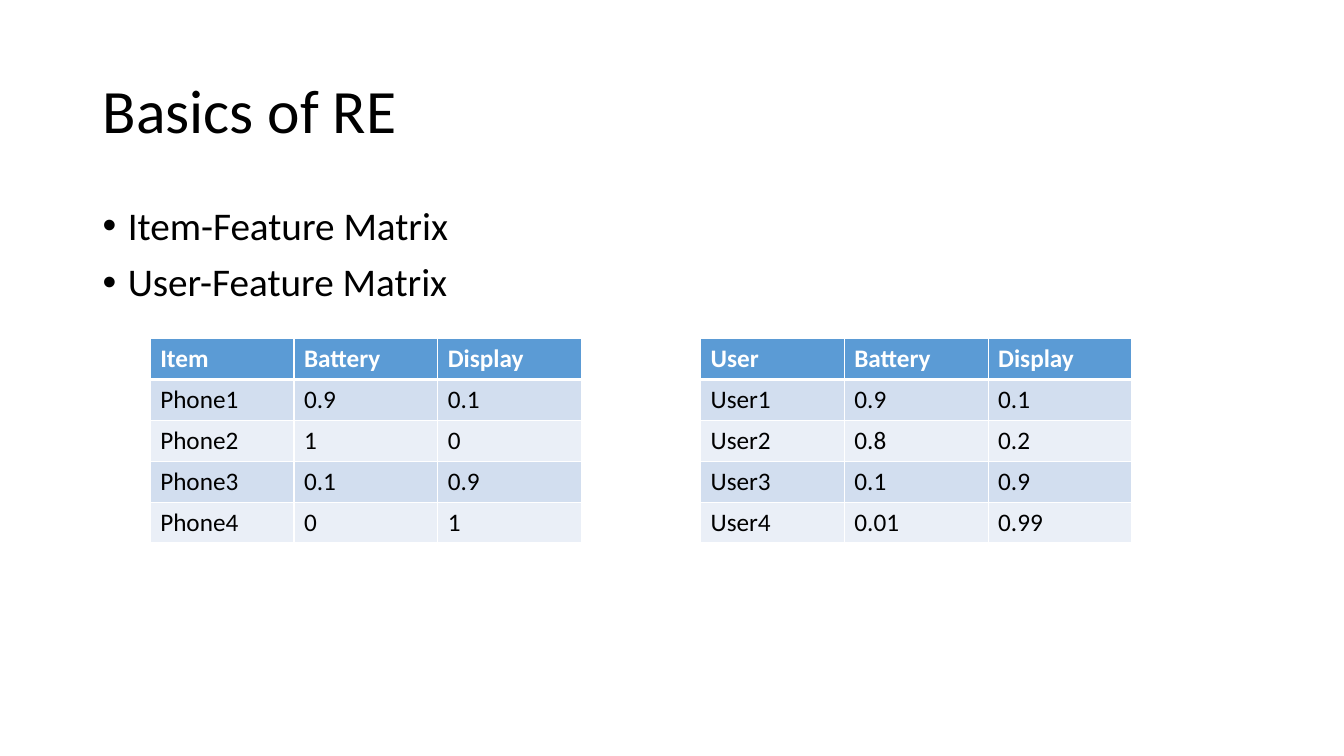
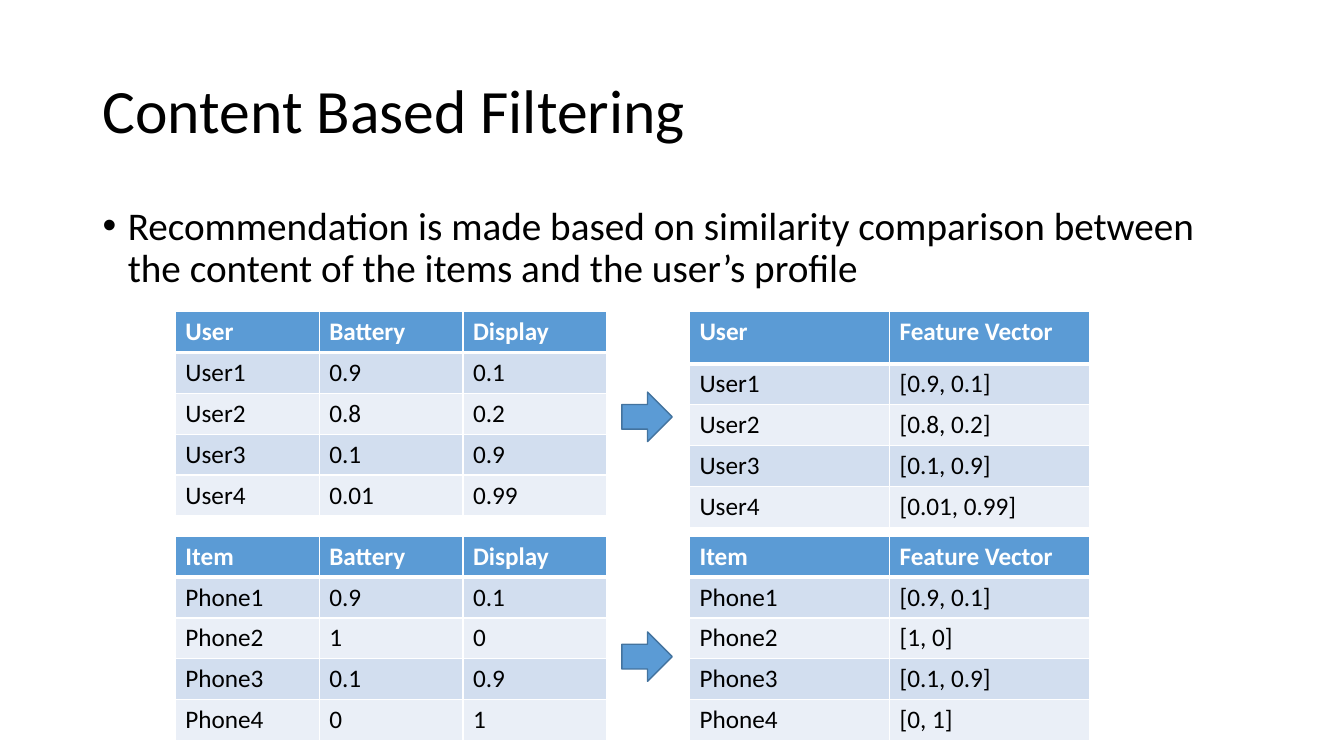
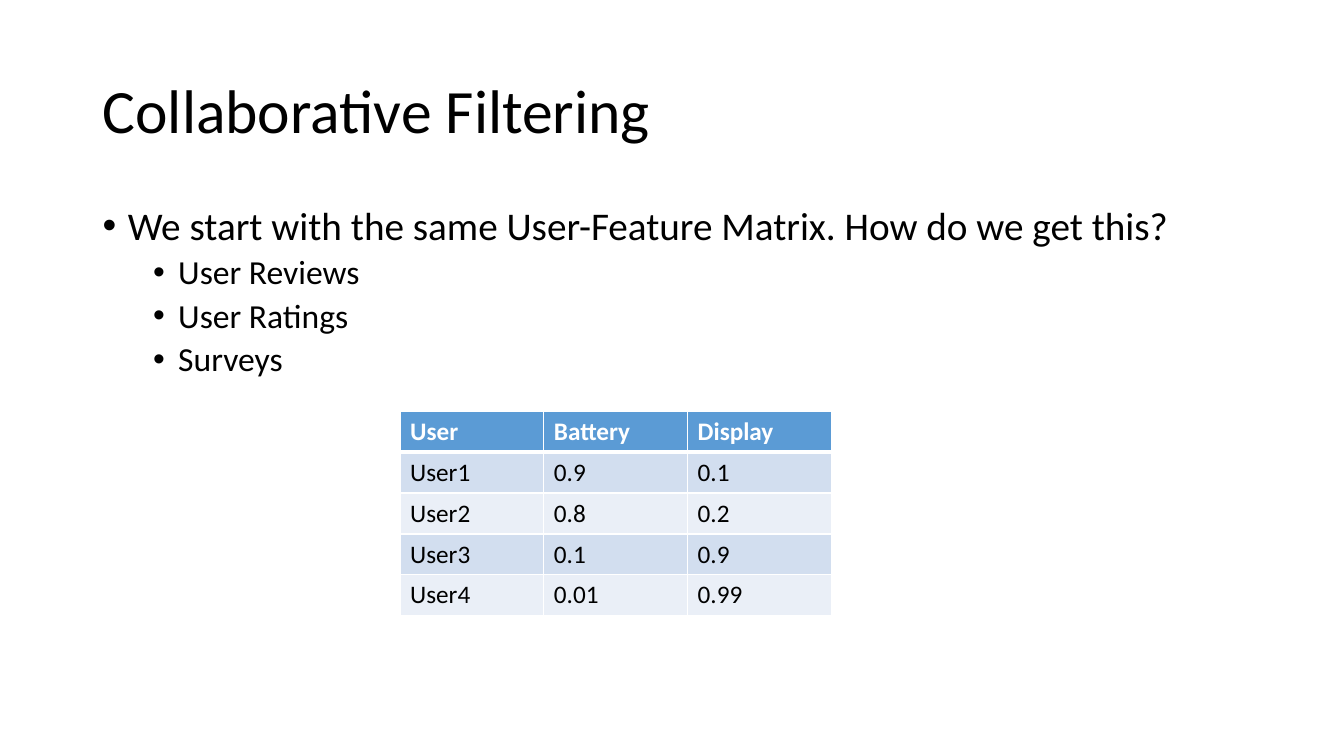
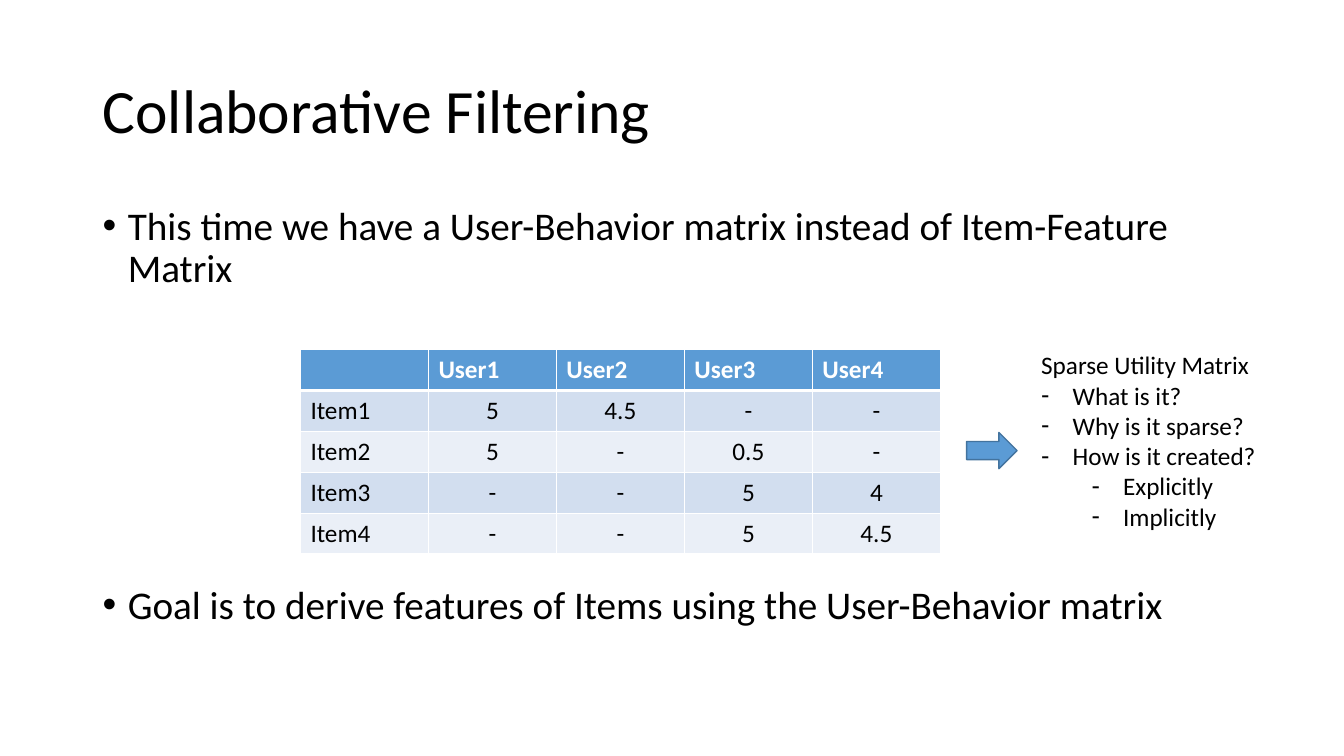
from lxml import etree
from pptx import Presentation
from pptx.dml.color import RGBColor
from pptx.enum.shapes import MSO_SHAPE
from pptx.enum.text import MSO_ANCHOR, PP_ALIGN
from pptx.oxml.ns import qn
from pptx.util import Pt

RIGHT_ARROW = MSO_SHAPE.RIGHT_ARROW
MIDDLE = MSO_ANCHOR.MIDDLE
LEFT, CENTER = PP_ALIGN.LEFT, PP_ALIGN.CENTER

FONT = "Calibri"
BLACK, WHITE = "000000", "FFFFFF"
BLUE, DARK_BLUE = "5B9BD5", "43739E"
BANDS = ("D2DEEF", "EAEFF7")

TITLE_BOX = (66.24, 28.8, 828, 104.4)
BODY_BOX = (66.24, 144, 828, 342.7)
NOTE_BOX = (736.6, 246.2, 195.1, 138.2)
ROW_HEIGHT = 29.2
FEATURE_WIDTH, VECTOR_WIDTH, RATING_WIDTH = 102.7, 142.9, 91.44

# Bullet levels: size, left margin, space before
BODY_LEVELS = ((28, 18, 10), (24, 54, 5))

FEATURES = ["Battery", "Display"]
USERS = {"User1": ("0.9", "0.1"), "User2": ("0.8", "0.2"),
         "User3": ("0.1", "0.9"), "User4": ("0.01", "0.99")}
ITEMS = {"Phone1": ("0.9", "0.1"), "Phone2": ("1", "0"),
         "Phone3": ("0.1", "0.9"), "Phone4": ("0", "1")}
RATINGS = [
    ["", "User1", "User2", "User3", "User4"],
    ["Item1", "5", "4.5", "-", "-"],
    ["Item2", "5", "-", "0.5", "-"],
    ["Item3", "-", "-", "5", "4"],
    ["Item4", "-", "-", "5", "4.5"],
]


def feature_rows(label, scores):
    return [[label, *FEATURES]] + [[name, *values] for name, values in scores.items()]


def vector_rows(label, scores):
    return [[label, "Feature Vector"]] + [
        [name, f"[{', '.join(values)}]"] for name, values in scores.items()]


USER_FEATURES = feature_rows("User", USERS)
ITEM_FEATURES = feature_rows("Item", ITEMS)

# Bullets: text, level and, where it differs, space before.
# Tables: rows, left, top, column width and any options. Arrows: left, top, width, height.
PAGES = [
    {"title": "Basics of RE",
     "bullets": [("Item-Feature Matrix", 0), ("User-Feature Matrix", 0)],
     "tables": [(USER_FEATURES, 500.4, 241.9, FEATURE_WIDTH, {}),
                (ITEM_FEATURES, 107.3, 241.9, FEATURE_WIDTH, {})]},
    {"title": "Content Based Filtering",
     "bullets": [("Recommendation is made based on similarity comparison between "
                  "the content of the items and the user’s profile", 0)],
     "tables": [(vector_rows("User", USERS), 492.5, 222.5, VECTOR_WIDTH,
                 {"header_height": 37.4}),
                (USER_FEATURES, 125.3, 222.5, FEATURE_WIDTH, {}),
                (ITEM_FEATURES, 125.3, 383, FEATURE_WIDTH, {}),
                (vector_rows("Item", ITEMS), 492.5, 383, VECTOR_WIDTH, {})],
     "arrows": [(444.2, 280.1, 36, 35.3), (444.2, 451.4, 36, 35.3)]},
    {"title": "Collaborative Filtering",
     "bullets": [("We start with the same User-Feature Matrix. How do we get this?", 0),
                 ("User Reviews", 1), ("User Ratings", 1), ("Surveys", 1)],
     "tables": [(USER_FEATURES, 285.8, 293.8, FEATURE_WIDTH, {})]},
    {"title": "Collaborative Filtering",
     "bullets": [("This time we have a User-Behavior matrix instead of "
                  "Item-Feature Matrix", 0),
                 ("Goal is to derive features of Items using the "
                  "User-Behavior matrix", 0, 210)],
     "tables": [(RATINGS, 214.6, 249.8, RATING_WIDTH, {"value_align": CENTER})],
     "arrows": [(690.5, 308.9, 36, 25.9)],
     "note": [("Sparse Utility Matrix", None), ("What is it?", 0),
              ("Why is it sparse?", 0), ("How is it created?", 0),
              ("Explicitly", 1), ("Implicitly", 1)]},
]


def color(value):
    return RGBColor.from_string(value)


def set_font(para, size, shade=BLACK, bold=False):
    font = para.font
    font.name, font.size, font.bold = FONT, Pt(size), bold
    font.color.rgb = color(shade)


def set_bullet(para, mark, margin, hang):
    properties = para._p.get_or_add_pPr()
    properties.set("marL", str(Pt(margin)))
    properties.set("indent", str(Pt(-hang)))
    typeface = etree.Element(qn("a:buFont"), typeface="Arial")
    bullet = etree.Element(qn("a:buChar"), char=mark)
    properties.insert_element_before(typeface, "a:defRPr")
    properties.insert_element_before(bullet, "a:defRPr")


def add_text_frame(page, bounds):
    frame = page.shapes.add_textbox(*map(Pt, bounds)).text_frame
    frame.word_wrap = True
    return frame


def add_paragraph(frame, index, text):
    para = frame.add_paragraph() if index else frame.paragraphs[0]
    para.text = text
    return para


def add_title(page, text):
    frame = add_text_frame(page, TITLE_BOX)
    frame.vertical_anchor = MIDDLE
    para = add_paragraph(frame, 0, text)
    para.line_spacing = 0.9
    set_font(para, 44)


def add_body(page, bullets):
    frame = add_text_frame(page, BODY_BOX)
    for index, (text, level, *gap) in enumerate(bullets):
        size, margin, space = BODY_LEVELS[level]
        para = add_paragraph(frame, index, text)
        para.level = level
        para.line_spacing = 0.9
        para.space_before = Pt(gap[0] if gap else space)
        set_font(para, size)
        set_bullet(para, "•", margin, 18)


def add_note(page, lines):
    frame = add_text_frame(page, NOTE_BOX)
    for index, (text, level) in enumerate(lines):
        para = add_paragraph(frame, index, text)
        set_font(para, 18)
        if level is not None:
            para.level = level
            set_bullet(para, "-", 22.5 + 36 * level, 22.5)


def set_borders(cell, row):
    """White rules, with a thick one between the header and the first row."""
    widths = {"L": 1, "R": 1, "T": 3 if row == 1 else 1, "B": 3 if row == 0 else 1}
    properties = cell._tc.get_or_add_tcPr()
    for side, width in widths.items():
        line = etree.SubElement(properties, qn(f"a:ln{side}"), w=str(Pt(width)))
        fill = etree.SubElement(line, qn("a:solidFill"))
        etree.SubElement(fill, qn("a:srgbClr"), val=WHITE)


def add_matrix(page, rows, left, top, column_width,
               header_height=ROW_HEIGHT, value_align=LEFT):
    column_count = len(rows[0])
    heights = [header_height] + [ROW_HEIGHT] * (len(rows) - 1)
    bounds = (left, top, column_width * column_count, sum(heights))
    table = page.shapes.add_table(len(rows), column_count, *map(Pt, bounds)).table
    for column in table.columns:
        column.width = Pt(column_width)
    for row, (values, height) in enumerate(zip(rows, heights)):
        table.rows[row].height = Pt(height)
        header = row == 0
        for column, value in enumerate(values):
            cell = table.cell(row, column)
            set_borders(cell, row)
            cell.fill.solid()
            cell.fill.fore_color.rgb = color(BLUE if header else BANDS[(row - 1) % 2])
            cell.text = value
            para = cell.text_frame.paragraphs[0]
            para.alignment = LEFT if header or column == 0 else value_align
            set_font(para, 18, WHITE if header else BLACK, bold=header)


def add_arrow(page, bounds):
    arrow = page.shapes.add_shape(RIGHT_ARROW, *map(Pt, bounds))
    arrow.shadow.inherit = False
    arrow.fill.solid()
    arrow.fill.fore_color.rgb = color(BLUE)
    arrow.line.color.rgb = color(DARK_BLUE)
    arrow.line.width = Pt(1)


def main():
    deck = Presentation()
    deck.slide_width, deck.slide_height = Pt(960), Pt(540)
    blank = deck.slide_layouts[6]
    for content in PAGES:
        page = deck.slides.add_slide(blank)
        add_title(page, content["title"])
        add_body(page, content["bullets"])
        for *place, options in content["tables"]:
            add_matrix(page, *place, **options)
        for bounds in content.get("arrows", []):
            add_arrow(page, bounds)
        if "note" in content:
            add_note(page, content["note"])
    deck.save("out.pptx")


if __name__ == "__main__":
    main()
